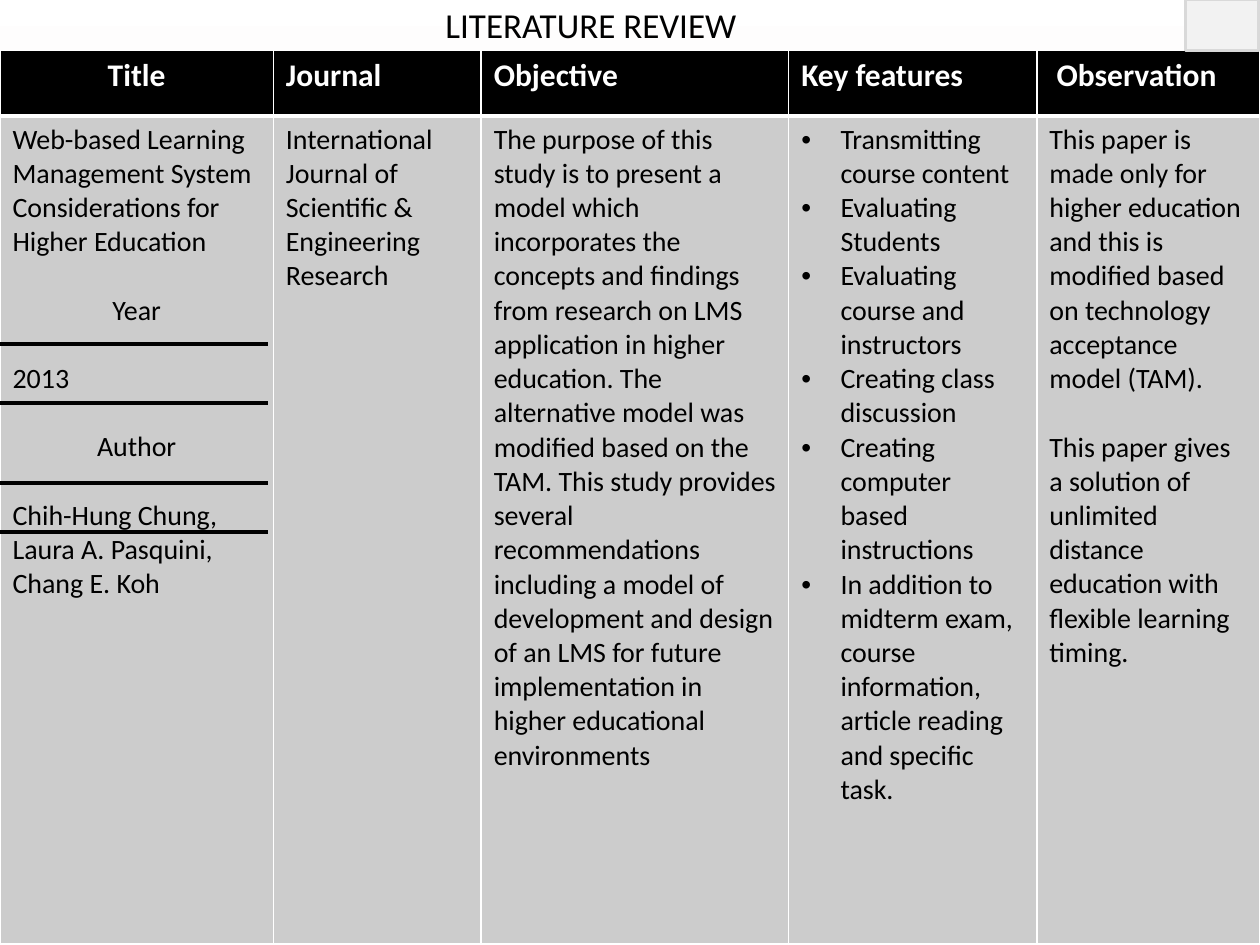
from lxml import etree
from pptx import Presentation
from pptx.dml.color import RGBColor
from pptx.enum import shapes, text
from pptx.oxml import parse_xml
from pptx.oxml.ns import nsdecls, qn
from pptx.util import Cm, Pt

FONT = "Calibri"
BLANK_LINE = 19.5  # height of one 16 pt line, in points
BULLET_INDENT = Cm(0.79)
COLUMN_WIDTHS = (5.51, 4.19, 6.2, 5, 4.5)
ROW_HEIGHTS = (1.32, 16.69)
RULE_HEIGHTS = (6.93, 8.13, 9.73, 10.72)
HEADINGS = ("Title", "Journal", "Objective", "Key features", "Observation")

# Each paragraph: text, style ("" / "center" / "bullet"), space before in points
PAPER = [
    ("Web-based Learning Management System Considerations for Higher Education", "", 0),
    ("Year", "center", BLANK_LINE),
    ("2013", "", BLANK_LINE),
    ("Author", "center", BLANK_LINE),
    ("Chih-Hung Chung,", "", BLANK_LINE),
    ("Laura A. Pasquini, Chang E. Koh", "", 0),
]
JOURNAL = [("International Journal of Scientific & Engineering Research", "", 0)]
OBJECTIVE = [(
    "The purpose of this study is to present a model which incorporates the "
    "concepts and findings from research on LMS application in higher education. "
    "The alternative model was modified based on the TAM. This study provides "
    "several recommendations including a model of development and design of an "
    "LMS for future implementation in higher educational environments", "", 0)]
KEY_FEATURES = [(feature, "bullet", 0) for feature in (
    "Transmitting course content",
    "Evaluating Students",
    "Evaluating course and instructors",
    "Creating class discussion",
    "Creating computer based instructions",
    "In addition to midterm exam, course information, article reading and specific task.",
)]
OBSERVATION = [
    ("This paper is made only for higher education and this is modified based on "
     "technology acceptance model (TAM).", "", 0),
    ("This paper gives a solution of unlimited distance education with flexible "
     "learning timing.", "", BLANK_LINE),
]


def color(hex_code):
    return RGBColor.from_string(hex_code)


def set_font(paragraph, size, hex_code, bold=False):
    font = paragraph.font
    font.name, font.size, font.bold = FONT, Pt(size), bold
    font.color.rgb = color(hex_code)


def add_bullet(paragraph):
    properties = paragraph._p.get_or_add_pPr()
    properties.set("marL", str(BULLET_INDENT))
    properties.set("indent", str(-BULLET_INDENT))
    etree.SubElement(properties, qn("a:buFont")).set("typeface", "Arial")
    etree.SubElement(properties, qn("a:buChar")).set("char", "•")


def set_borders(cell, bottom):
    """White cell edges, 1 pt except for the given bottom width."""
    properties = cell._tc.get_or_add_tcPr()
    edges = (("lnL", 1), ("lnR", 1), ("lnT", 1), ("lnB", bottom))
    for position, (edge, width) in enumerate(edges):
        properties.insert(position, parse_xml(
            f'<a:{edge} {nsdecls("a")} w="{Pt(width)}"><a:solidFill>'
            f'<a:srgbClr val="FFFFFF"/></a:solidFill></a:{edge}>'))


def fill_cell(cell, paragraphs, fill, size, hex_code, bold=False, bottom=1):
    set_borders(cell, bottom)
    cell.fill.solid()
    cell.fill.fore_color.rgb = color(fill)
    frame = cell.text_frame
    for index, (content, style, space) in enumerate(paragraphs):
        paragraph = frame.add_paragraph() if index else frame.paragraphs[0]
        paragraph.text = content
        if space:
            paragraph.space_before = Pt(space)
        if style == "center":
            paragraph.alignment = text.PP_ALIGN.CENTER
        elif style == "bullet":
            add_bullet(paragraph)
        set_font(paragraph, size, hex_code, bold)


def add_background(slide):
    fill = slide.background.fill
    fill.gradient()
    fill.gradient_angle = 270
    for stop, hex_code in zip(fill.gradient_stops, ("FFFFFF", "CBC8B6")):
        stop.color.rgb = color(hex_code)


def add_title(slide):
    title = slide.shapes.title
    title.left, title.top, title.width, title.height = Cm(8.1), Cm(0.1), Cm(18.9), Cm(0.91)
    frame = title.text_frame
    frame.auto_size = text.MSO_AUTO_SIZE.NONE
    frame.vertical_anchor = text.MSO_ANCHOR.MIDDLE
    frame.margin_left = Cm(0.88)
    heading = frame.paragraphs[0]
    heading.text = "LITERATURE REVIEW"
    heading.alignment = text.PP_ALIGN.LEFT
    heading.line_spacing = 0.9
    set_font(heading, 20, "000000")


def add_review_table(slide):
    review = slide.shapes.add_table(
        2, len(HEADINGS), 0, Cm(1.02), Cm(sum(COLUMN_WIDTHS)), Cm(sum(ROW_HEIGHTS))).table
    for column, width in zip(review.columns, COLUMN_WIDTHS):
        column.width = Cm(width)
    for row, height in zip(review.rows, ROW_HEIGHTS):
        row.height = Cm(height)
    details = (PAPER, JOURNAL, OBJECTIVE, KEY_FEATURES, OBSERVATION)
    for index, (heading, detail) in enumerate(zip(HEADINGS, details)):
        style = "" if index else "center"
        fill_cell(review.cell(0, index), [(heading, style, 0)],
                  "000000", 18, "FFFFFF", bold=True, bottom=3)
        fill_cell(review.cell(1, index), detail, "CCCCCC", 16, "000000")
    review.cell(0, len(HEADINGS) - 1).margin_left = Cm(0.4)


def add_rule(slide, height):
    rule = slide.shapes.add_connector(
        shapes.MSO_CONNECTOR.STRAIGHT, 0, Cm(height), Cm(5.41), Cm(height))
    rule.line.color.rgb = color("000000")
    rule.line.width = Pt(2.25)
    etree.SubElement(rule._element.spPr, qn("a:effectLst"))


def add_corner_box(slide):
    corner = slide.shapes.add_shape(
        shapes.MSO_SHAPE.RECTANGLE, Cm(23.9), 0, Cm(1.47), Cm(1.02))
    corner.shadow.inherit = False
    corner.fill.solid()
    corner.fill.fore_color.rgb = color("F2F2F2")
    corner.line.color.rgb = color("D9D9D9")
    corner.line.width = Pt(1.5)


def main():
    deck = Presentation()
    deck.slide_width, deck.slide_height = Cm(25.4), Cm(19.05)
    slide = deck.slides.add_slide(deck.slide_layouts[5])  # Title Only

    add_background(slide)
    add_title(slide)
    add_review_table(slide)
    # Lines between the year and author entries
    for height in RULE_HEIGHTS:
        add_rule(slide, height)
    add_corner_box(slide)

    deck.save("out.pptx")


if __name__ == "__main__":
    main()
